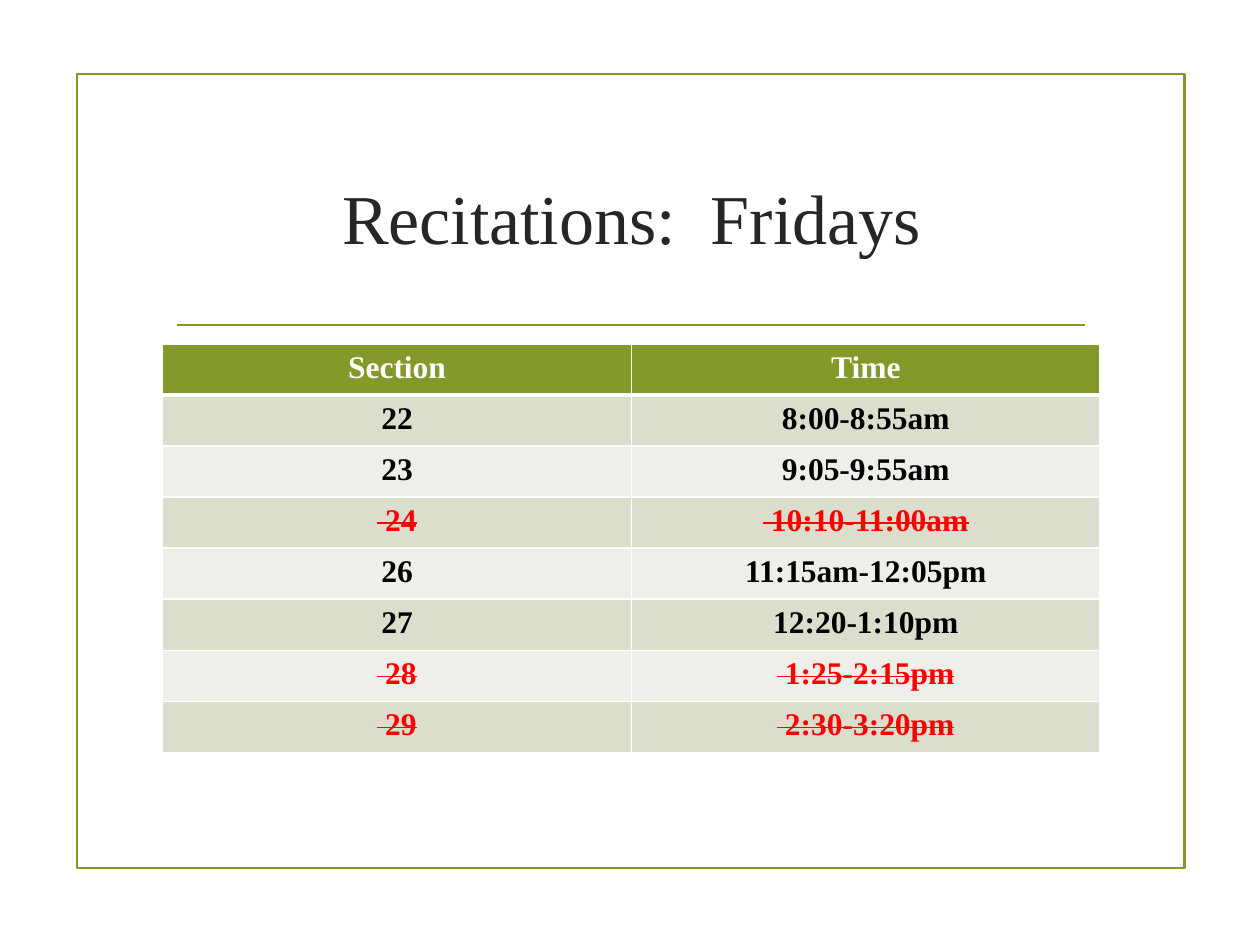
from lxml import etree
from pptx import Presentation
from pptx import util as u
from pptx.dml import color
from pptx.enum import shapes, text
from pptx.oxml import ns

GREEN = color.RGBColor(0x83, 0x99, 0x2A)
DARK = color.RGBColor(0x26, 0x26, 0x26)
WHITE = color.RGBColor(0xFF, 0xFF, 0xFF)
BLACK = color.RGBColor(0, 0, 0)
RED = color.RGBColor(0xFF, 0, 0)
BANDS = [color.RGBColor(0xD9, 0xDE, 0xCD), color.RGBColor(0xED, 0xEF, 0xE8)]

TITLE_FONT = {"name": "Times New Roman", "size": u.Pt(40), "bold": False}
CELL_FONT = {"name": "Times New Roman", "size": u.Pt(18), "bold": True}

HEADINGS = ("Section", "Time")
SECTIONS = [
    ("22", "8:00-8:55am", False),
    ("23", "9:05-9:55am", False),
    ("24", "10:10-11:00am", True),
    ("26", "11:15am-12:05pm", False),
    ("27", "12:20-1:10pm", False),
    ("28", "1:25-2:15pm", True),
    ("29", "2:30-3:20pm", True),
]


def apply_format(target, values):
    for name, value in values.items():
        setattr(target, name, value)


def write_line(text_frame, words, font_values, font_color):
    paragraph = text_frame.paragraphs[0]
    paragraph.alignment = text.PP_ALIGN.CENTER
    run = paragraph.add_run()
    run.text = words
    apply_format(run.font, font_values)
    run.font.color.rgb = font_color
    return run


def add_frame(slide, left, top, width, height):
    frame = slide.shapes.add_shape(
        shapes.MSO_SHAPE.RECTANGLE, left, top, width, height)
    frame.shadow.inherit = False
    frame.fill.background()
    apply_format(frame.line, {"width": u.Pt(1.25)})
    frame.line.color.rgb = GREEN

    rule_top = top + u.Cm(5.05)
    rule = slide.shapes.add_connector(
        shapes.MSO_CONNECTOR.STRAIGHT,
        left + u.Cm(2.01), rule_top, left + width - u.Cm(2.01), rule_top)
    rule.line.width = u.Pt(1.25)
    rule.line.color.rgb = GREEN
    etree.SubElement(rule._element.spPr, ns.qn("a:effectLst"))


def add_title(slide, left, top, width, height):
    title = slide.shapes.title
    apply_format(title, {"left": left, "top": top, "width": width, "height": height})
    apply_format(title.text_frame, {
        "word_wrap": True,
        "auto_size": text.MSO_AUTO_SIZE.NONE,
        "vertical_anchor": text.MSO_ANCHOR.MIDDLE,
    })
    write_line(title.text_frame, "Recitations:  Fridays", TITLE_FONT, DARK)


def add_borders(cell, widths):
    properties = cell._tc.get_or_add_tcPr()
    for position, (side, points) in enumerate(widths.items()):
        border = etree.Element(ns.qn(f"a:ln{side}"), w=str(u.Pt(points)))
        fill = etree.SubElement(border, ns.qn("a:solidFill"))
        etree.SubElement(fill, ns.qn("a:srgbClr"), val=str(WHITE))
        properties.insert(position, border)


def fill_row(row, words, fill_color, font_color, top_border, bottom_border, cancelled=False):
    for cell, cell_words in zip(row.cells, words):
        cell.fill.solid()
        cell.fill.fore_color.rgb = fill_color
        prefix = " " if cancelled else ""
        run = write_line(cell.text_frame, prefix + cell_words, CELL_FONT, font_color)
        if cancelled:
            run._r.get_or_add_rPr().set("strike", "sngStrike")
        add_borders(cell, {"L": 1, "R": 1, "T": top_border, "B": bottom_border})


def add_schedule(slide, left, top, width, height):
    table = slide.shapes.add_table(
        len(SECTIONS) + 1, len(HEADINGS), left, top, width, height).table
    header, *rows = table.rows
    fill_row(header, HEADINGS, GREEN, WHITE, 1, 3)
    for index, (row, (section, time, cancelled)) in enumerate(zip(rows, SECTIONS)):
        fill_row(row, (section, time), BANDS[index % 2], RED if cancelled else BLACK,
                 1 if index else 3, 1, cancelled)


def main():
    presentation = Presentation()
    apply_format(presentation, {"slide_width": u.Cm(25.4), "slide_height": u.Cm(19.05)})
    slide = presentation.slides.add_slide(presentation.slide_layouts[5])
    add_frame(slide, u.Cm(1.55), u.Cm(1.5), u.Cm(22.33), u.Cm(16))
    add_title(slide, u.Cm(3.28), u.Cm(2.54), u.Cm(18.9), u.Cm(3.63))
    add_schedule(slide, u.Cm(3.28), u.Cm(6.93), u.Cm(18.9), u.Cm(8.24))
    presentation.save("out.pptx")


if __name__ == "__main__":
    main()
